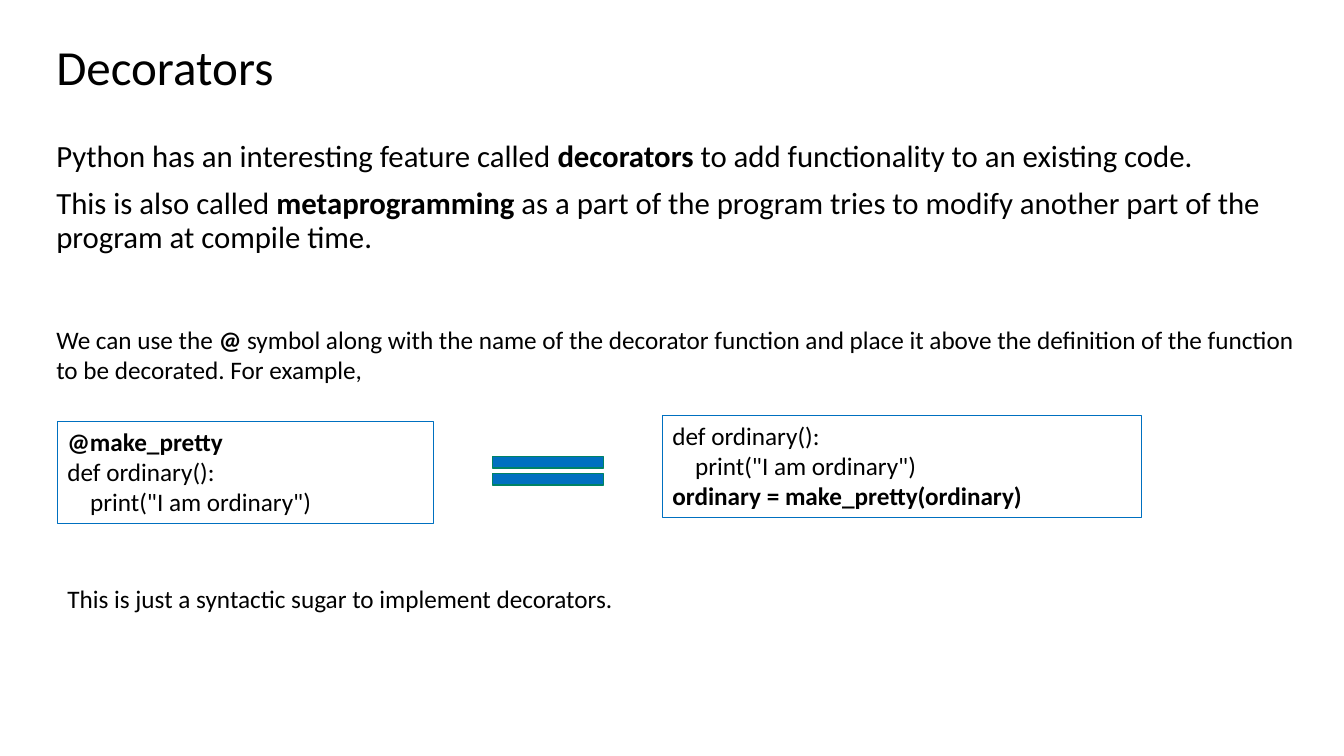
"""Build the slide that introduces Python decorators."""
from pptx import Presentation
from pptx.dml.color import RGBColor
from pptx.enum.shapes import MSO_SHAPE
from pptx.enum.text import MSO_ANCHOR, MSO_AUTO_SIZE, PP_ALIGN
from pptx.util import Inches, Pt

THEME = {
    "font": "Calibri",
    "ink": RGBColor(0x00, 0x00, 0x00),
    "paper": RGBColor(0xFF, 0xFF, 0xFF),
    "accent": RGBColor(0x00, 0x70, 0xC0),
    "edge": RGBColor(0x00, 0x83, 0x65),
    "title": 35,
    "lead": 22,
    "body": 18,
}

LEFT, WIDTH = 0.46, 12.59
CODE_HEIGHT = 1.01
TIGHT = {"line_spacing": 0.9}
GROW = {"auto_size": MSO_AUTO_SIZE.SHAPE_TO_FIT_TEXT}

TEXTS = [
    {
        "at": (LEFT, 1.35, WIDTH, 3.75),
        "size": "lead",
        "paragraph": TIGHT,
        "gap": 10,
        "lines": [
            [("Python has an interesting feature called ", False), ("decorators", True),
             (" to add functionality to an existing code.", False)],
            [("This is also called ", False), ("metaprogramming", True),
             (" as a part of the program tries to modify another part of the program"
              " at compile time.", False)],
        ],
    },
    {
        "at": (LEFT, 0.38, WIDTH, 0.58),
        "size": "title",
        "paragraph": TIGHT,
        "lines": [[("Decorators", False)]],
    },
    {
        "at": (LEFT, 3.17, WIDTH, 0.71),
        "frame": GROW,
        "lines": [
            [("We can use the ", False), ("@", True),
             (" symbol along with the name of the decorator function and place it above"
              " the definition of the function to be decorated. For example,", False)],
        ],
    },
    {
        "at": (0.57, 5.74, 6.23, 0.4),
        "frame": {**GROW, "word_wrap": False},
        "lines": [[("This is just a syntactic sugar to implement decorators.", False)]],
    },
]

FUNCTION = [[("def ordinary():", False)], [('    print("I am ordinary")', False)]]
CODES = [
    {"at": (0.57, 4.18, 3.73, CODE_HEIGHT), "frame": GROW,
     "lines": [[("@make_pretty", True)], *FUNCTION]},
    {"at": (6.57, 4.12, 4.75, CODE_HEIGHT), "frame": GROW,
     "lines": [*FUNCTION, [("ordinary = make_pretty(ordinary)", True)]]},
]
EQUALS_AT = (4.69, 4.43, 1.49, 0.48)


def apply(target, values):
    for name, value in values.items():
        setattr(target, name, value)


def write(shape, part):
    frame = shape.text_frame
    apply(frame, {"word_wrap": True, "auto_size": MSO_AUTO_SIZE.NONE,
                  "vertical_anchor": MSO_ANCHOR.TOP, **part.get("frame", {})})
    for index, line in enumerate(part["lines"]):
        paragraph = frame.add_paragraph() if index else frame.paragraphs[0]
        apply(paragraph, {"alignment": PP_ALIGN.LEFT, **part.get("paragraph", {})})
        if index and "gap" in part:
            paragraph.space_before = Pt(part["gap"])
        for text, bold in line:
            run = paragraph.add_run()
            run.text = text
            size = Pt(THEME[part.get("size", "body")])
            apply(run.font, {"name": THEME["font"], "size": size, "bold": bold})
            run.font.color.rgb = THEME["ink"]


def draw(slide, kind, at, fill, line, width):
    shape = slide.shapes.add_shape(kind, *map(Inches, at))
    shape.shadow.inherit = False
    shape.fill.solid()
    shape.fill.fore_color.rgb = THEME[fill]
    shape.line.color.rgb = THEME[line]
    shape.line.width = Pt(width)
    return shape


def main():
    deck = Presentation()
    apply(deck, {"slide_width": Inches(13.33), "slide_height": Inches(7.5)})
    slide = deck.slides.add_slide(deck.slide_layouts[6])
    for part in TEXTS:
        write(slide.shapes.add_textbox(*map(Inches, part["at"])), part)
    for part in CODES:
        write(draw(slide, MSO_SHAPE.RECTANGLE, part["at"], "paper", "accent", 0.5), part)
    draw(slide, MSO_SHAPE.MATH_EQUAL, EQUALS_AT, "accent", "edge", 1)
    deck.save("out.pptx")


if __name__ == "__main__":
    main()
